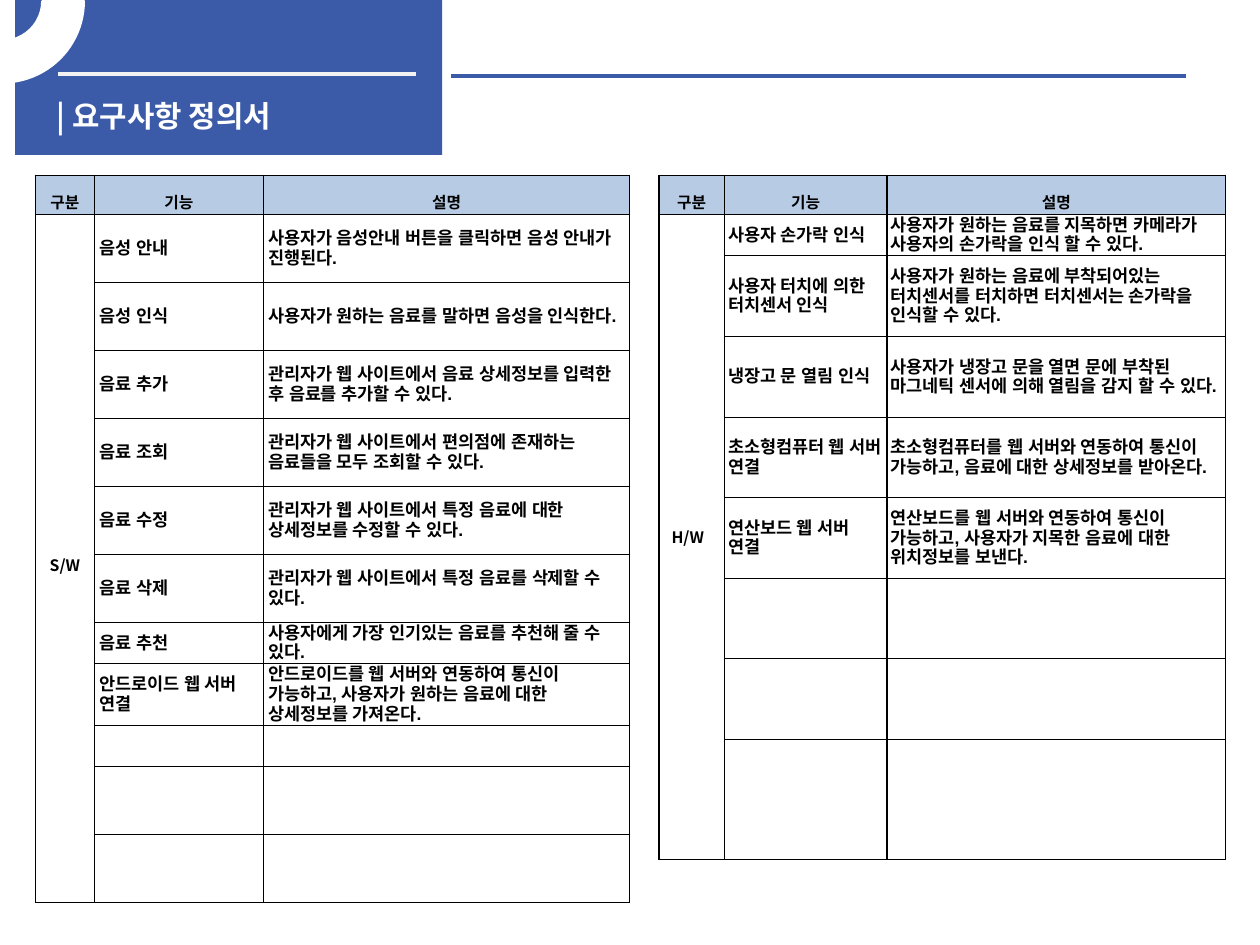
from dataclasses import dataclass

from lxml.etree import SubElement
from pptx import Presentation
from pptx.dml.color import RGBColor as RGB
from pptx.enum.shapes import MSO_CONNECTOR as Conn, MSO_SHAPE as Shape
from pptx.enum.text import MSO_ANCHOR as Anchor, MSO_AUTO_SIZE as Fit, PP_ALIGN as Align
from pptx.oxml.ns import qn
from pptx.util import Inches, Pt


@dataclass(frozen=True)
class Theme:
    blue: str = "3B5AA8"
    head: str = "B7CCE4"
    pale: str = "F2F2F2"
    white: str = "FFFFFF"
    black: str = "000000"
    korean: str = "Noto Sans CJK KR"
    latin: str = "Arial"
    title: float = 17
    label: float = 9
    body: float = 10
    rule: float = 2.25
    arc: float = 2
    grid: float = 0.75


THEME = Theme()
HEADS = ("구분", "기능", "설명")
SOFT = [
    ("음성 안내", "사용자가 음성안내 버튼을 클릭하면 음성 안내가 진행된다."),
    ("음성 인식", "사용자가 원하는 음료를 말하면 음성을 인식한다."),
    ("음료 추가", "관리자가 웹 사이트에서 음료 상세정보를 입력한 후 음료를 추가할 수 있다."),
    ("음료 조회", "관리자가 웹 사이트에서 편의점에 존재하는 음료들을 모두 조회할 수 있다."),
    ("음료 수정", "관리자가 웹 사이트에서 특정 음료에 대한 상세정보를 수정할 수 있다."),
    ("음료 삭제", "관리자가 웹 사이트에서 특정 음료를 삭제할 수 있다."),
    ("음료 추천", "사용자에게 가장 인기있는 음료를 추천해 줄 수 있다."),
    ("안드로이드 웹 서버 연결",
     "안드로이드를 웹 서버와 연동하여 통신이 가능하고, 사용자가 원하는 음료에 대한 상세정보를 가져온다."),
]
HARD = [
    ("사용자 손가락 인식", "사용자가 원하는 음료를 지목하면 카메라가 사용자의 손가락을 인식 할 수 있다."),
    ("사용자 터치에 의한 터치센서 인식",
     "사용자가 원하는 음료에 부착되어있는 터치센서를 터치하면 터치센서는 손가락을 인식할 수 있다."),
    ("냉장고 문 열림 인식",
     "사용자가 냉장고 문을 열면 문에 부착된 마그네틱 센서에 의해 열림을 감지 할 수 있다."),
    ("초소형컴퓨터 웹 서버 연결",
     "초소형컴퓨터를 웹 서버와 연동하여 통신이 가능하고, 음료에 대한 상세정보를 받아온다."),
    ("연산보드 웹 서버 연결",
     "연산보드를 웹 서버와 연동하여 통신이 가능하고, 사용자가 지목한 음료에 대한 위치정보를 보낸다."),
]


def color(code):
    return RGB.from_string(code)


def write(para, text, size, tint, face=THEME.korean):
    run = para.add_run()
    run.text = text
    font = run.font
    font.size, font.bold, font.name = Pt(size), True, face
    font.color.rgb = color(tint)
    SubElement(font._element, qn("a:ea"), typeface=face)


def shape(slide, kind, left, top, width, height, tint):
    item = slide.shapes.add_shape(
        kind, Inches(left), Inches(top), Inches(width), Inches(height))
    item.shadow.inherit = False
    item.fill.solid()
    item.fill.fore_color.rgb = color(tint)
    item.line.fill.background()
    return item


def rule(slide, left, top, width, tint):
    line = slide.shapes.add_connector(
        Conn.STRAIGHT, Inches(left), Inches(top), Inches(left + width), Inches(top))
    line.line.color.rgb = color(tint)
    line.line.width = Pt(THEME.rule)
    SubElement(line._element.spPr, qn("a:effectLst"))


def banner(slide, left, top, width, height):
    shape(slide, Shape.RECTANGLE, left, top, width, height, THEME.blue)
    rule(slide, left + 0.34, top + 0.59, 2.84, THEME.pale)
    rule(slide, left + 3.46, top + 0.6, 5.83, THEME.blue)

    title = slide.shapes.title
    # Bring the title in front of the blue panel
    slide.shapes._spTree.append(title._element)
    title.left, title.top = Inches(left + 0.23), Inches(top + 0.76)
    title.width, title.height = Inches(3.07), Inches(0.32)
    frame = title.text_frame
    frame.auto_size = Fit.NONE
    frame.word_wrap = True
    frame.vertical_anchor = Anchor.MIDDLE
    para = frame.paragraphs[0]
    para.alignment = Align.LEFT
    write(para, "| 요구사항 정의서", THEME.title, THEME.white)

    arc = shape(slide, Shape.BLOCK_ARC, left - 0.75, top - 0.63, 1.29, 1.28, THEME.white)
    # Angles are in 60000ths of a degree, scaled by 100000
    arc.adjustments[0] = 0
    arc.adjustments[1] = 198.41 * 0.6
    arc.adjustments[2] = 0.25
    arc.line.color.rgb = color(THEME.white)
    arc.line.width = Pt(THEME.arc)


def border(cell):
    props = cell._tc.get_or_add_tcPr()
    for side in ("lnL", "lnR", "lnT", "lnB"):
        line = SubElement(props, qn(f"a:{side}"), w=str(Pt(THEME.grid)))
        fill = SubElement(line, qn("a:solidFill"))
        SubElement(fill, qn("a:srgbClr"), val=THEME.black)


def style(cell, side, edge=0.01):
    cell.margin_left = cell.margin_right = Inches(side)
    cell.margin_top = cell.margin_bottom = Inches(edge)
    cell.vertical_anchor = Anchor.MIDDLE


def label(cell, text):
    para = cell.text_frame.paragraphs[0]
    para.alignment = Align.CENTER
    para.line_spacing = 1.6
    write(para, text, THEME.label, THEME.black)


def spec_grid(slide, left, top, cols, rows, items, pad):
    """Draw a table with a merged first column, and return its merged cell."""
    grid = slide.shapes.add_table(
        len(rows), len(cols), Inches(left), Inches(top),
        Inches(sum(cols)), Inches(sum(rows))).table
    for col, width in zip(grid.columns, cols):
        col.width = Inches(width)
    for row, height in zip(grid.rows, rows):
        row.height = Inches(height)
    for cell in grid.iter_cells():
        border(cell)
        style(cell, pad)
        cell.fill.background()

    for cell, text in zip(grid.rows[0].cells, HEADS):
        cell.fill.solid()
        cell.fill.fore_color.rgb = color(THEME.head)
        label(cell, text)
    for num, item in enumerate(items, 1):
        for col, text in enumerate(item, 1):
            para = grid.cell(num, col).text_frame.paragraphs[0]
            write(para, text, THEME.body, THEME.black, THEME.latin)

    group = grid.cell(1, 0)
    group.merge(grid.cell(len(rows) - 1, 0))
    return group


def main():
    deck = Presentation()
    deck.slide_width, deck.slide_height = Inches(10), Inches(7.5)
    slide = deck.slides.add_slide(deck.slide_layouts[5])
    banner(slide, 0.12, 0, 3.39, 1.23)

    soft = spec_grid(slide, 0.28, 1.39, (0.47, 1.34, 2.91),
                     [0.26] + [0.54] * 6 + [0.26] * 2 + [0.32] + [0.54] * 2, SOFT, 0.04)
    label(soft, "S/W")

    hard = spec_grid(slide, 5.23, 1.39, (0.52, 1.29, 2.69),
                     [0.3, 0.32] + [0.64] * 6 + [0.95], HARD, 0.03)
    style(hard, 0.1, 0.05)
    write(hard.text_frame.paragraphs[0], "H/W", THEME.label, THEME.black)
    deck.save("out.pptx")


if __name__ == "__main__":
    main()
